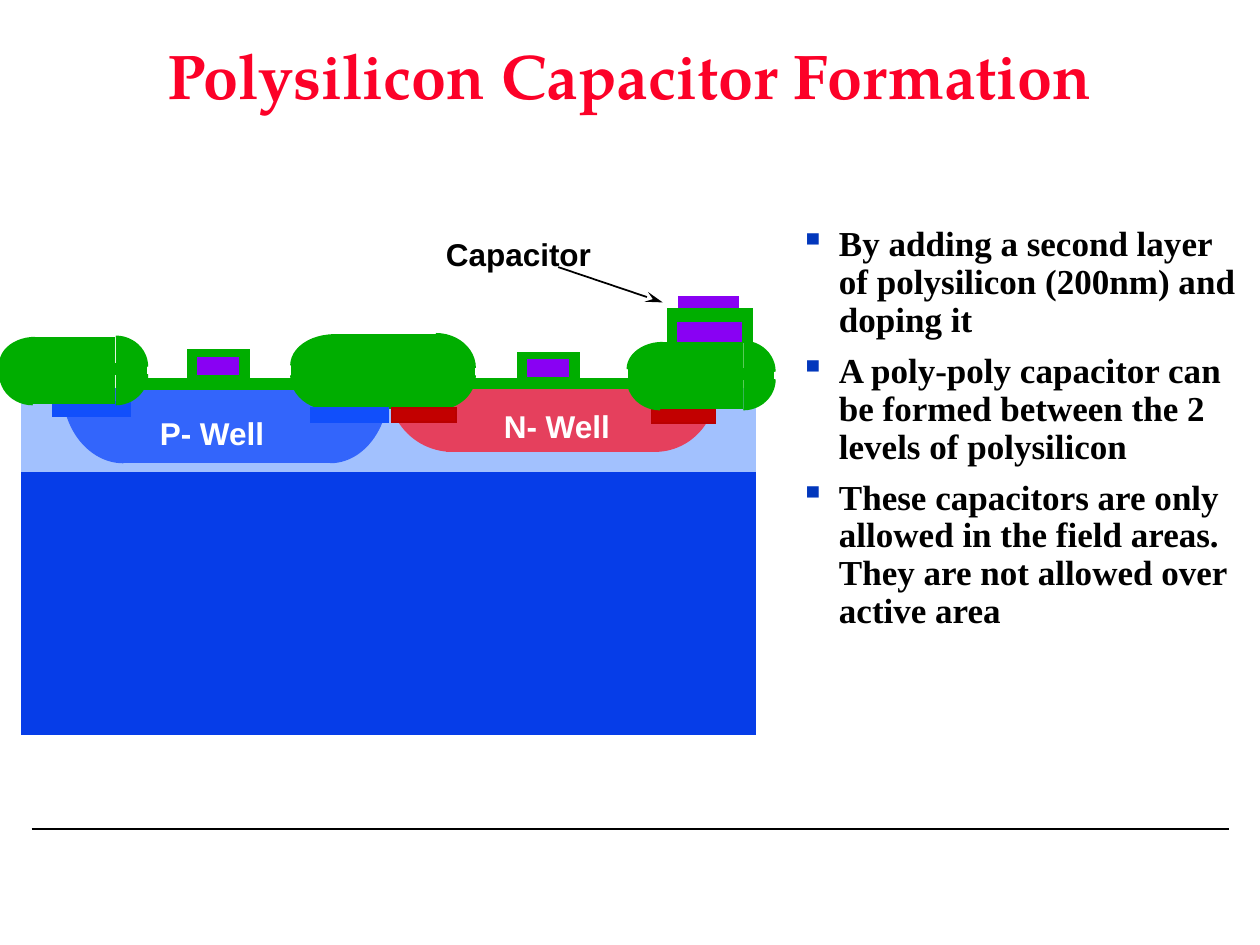
from dataclasses import dataclass

from lxml import etree
from pptx import Presentation
from pptx import util as u
from pptx.dml.color import RGBColor
from pptx.enum import shapes, text
from pptx.oxml.ns import qn

COLORS = {
    "title": "FC0128", "bullet": "0237BC", "black": "000000", "white": "FFFFFF",
    "oxide": "00AE00", "substrate": "063DE8", "epi": "A2C1FE",
    "p_well": "3365FB", "n_well": "E5405D", "poly": "8901F3",
    "p_drain": "114FFB", "n_drain": "C20000", "n_drain_edge": "BA0000",
}
DEGREE = 0.6
QUARTER_STARTS = {"lower right": 0, "lower left": 90, "upper left": 180, "upper right": 270}


@dataclass
class Block:
    left: float
    top: float
    width: float
    height: float
    fill: str
    edge: str = ""


@dataclass
class Corner:
    quarter: str
    x: float
    y: float
    rx: float
    ry: float
    fill: str


@dataclass
class Well:
    left: float
    curve: float
    span: float
    depth: float
    fill: str


@dataclass
class FieldOxide:
    left: float
    top: float
    radius: float
    core: float
    height: float
    corner: float


def rgb(name: str) -> RGBColor:
    return RGBColor.from_string(COLORS[name])


def add_filled(slide, kind, area: tuple, fill: str, edge: str):
    shape = slide.shapes.add_shape(kind, *map(u.Inches, area))
    shape.shadow.inherit = False
    shape.fill.solid()
    shape.fill.fore_color.rgb = rgb(fill)
    shape.line.color.rgb = rgb(edge)
    shape.line.width = u.Pt(1)
    etree.SubElement(shape.line._get_or_add_ln(), qn("a:miter"), lim="800000")
    return shape


def draw_block(slide, block: Block) -> None:
    area = (block.left, block.top, block.width, block.height)
    add_filled(slide, shapes.MSO_SHAPE.RECTANGLE, area, block.fill, block.edge or block.fill)


def draw_corner(slide, corner: Corner) -> None:
    area = (corner.x - corner.rx, corner.y - corner.ry, 2 * corner.rx, 2 * corner.ry)
    arc = add_filled(slide, shapes.MSO_SHAPE.ARC, area, corner.fill, corner.fill)
    start = QUARTER_STARTS[corner.quarter]
    arc.adjustments[0] = start * DEGREE
    arc.adjustments[1] = (start + 90) % 360 * DEGREE


def draw_well(slide, well: Well) -> None:
    inner = well.left + well.curve
    right = inner + well.span
    draw_corner(slide, Corner("lower left", inner, 3.08, well.curve, well.depth, well.fill))
    draw_corner(slide, Corner("lower right", right, 3.08, well.curve - 0.02, well.depth,
                              well.fill))
    draw_block(slide, Block(right - 1.65, 3.09, 1.65, well.depth - 0.01, well.fill))


def draw_field_oxide(slide, field: FieldOxide) -> None:
    inner = field.left + field.radius
    right = inner + field.core + 0.01
    shoulder = field.top + field.corner
    lower = field.top + field.height - field.corner + 0.01
    outer = field.radius - 0.01
    for corner in (
        Corner("lower left", inner, lower, field.radius, field.corner, "oxide"),
        Corner("lower right", right, lower, outer, field.corner, "oxide"),
        Corner("upper right", right, shoulder - 0.01, outer, field.corner, "oxide"),
        Corner("upper left", inner + 0.02, shoulder - 0.03, field.radius + 0.02,
               field.corner - 0.03, "oxide"),
    ):
        draw_corner(slide, corner)
    band = 2 * field.radius + field.core - 0.02
    draw_block(slide, Block(field.left + 0.01, shoulder - 0.03, band, 0.08, "oxide"))
    draw_block(slide, Block(inner, field.top, field.core, field.height, "oxide"))


def draw_gate(slide, left: float, top: float) -> None:
    draw_block(slide, Block(left, top, 0.49, 0.26, "oxide"))
    draw_block(slide, Block(left + 0.08, top + 0.06, 0.32, 0.13, "poly"))


def draw_line(slide, start: tuple, end: tuple, arrow: bool = False) -> None:
    line = slide.shapes.add_connector(
        shapes.MSO_CONNECTOR.STRAIGHT, *map(u.Inches, (*start, *end)))
    line.line.color.rgb = rgb("black")
    line.line.width = u.Pt(1)
    if arrow:
        etree.SubElement(line.line._get_or_add_ln(), qn("a:tailEnd"),
                         type="stealth", w="med", len="lg")
    etree.SubElement(line._element.spPr, qn("a:effectLst"))


def add_bullet(paragraph) -> None:
    properties = paragraph._p.get_or_add_pPr()
    properties.set("marL", str(u.Inches(0.31)))
    properties.set("indent", str(-u.Inches(0.31)))
    tint = etree.SubElement(properties, qn("a:buClr"))
    etree.SubElement(tint, qn("a:srgbClr"), val=COLORS["bullet"])
    etree.SubElement(properties, qn("a:buFont"), typeface="OpenSymbol")
    etree.SubElement(properties, qn("a:buChar"), char="▪")


def write(slide, lines: list[str], area: tuple, *, size: float = 18, font: str = "Arial",
          color: str = "black", align=text.PP_ALIGN.LEFT, anchor=text.MSO_ANCHOR.TOP,
          spacing: float = 1.0, wrap: bool = False, bullets: bool = False) -> None:
    frame = slide.shapes.add_textbox(*map(u.Inches, area)).text_frame
    frame.word_wrap = wrap
    frame.vertical_anchor = anchor
    if not wrap:
        frame.auto_size = text.MSO_AUTO_SIZE.SHAPE_TO_FIT_TEXT
    for index, line in enumerate(lines):
        paragraph = frame.add_paragraph() if index else frame.paragraphs[0]
        paragraph.alignment = align
        paragraph.line_spacing = spacing
        if index:
            paragraph.space_before = u.Pt(7.5)
        if bullets:
            add_bullet(paragraph)
        run = paragraph.add_run()
        run.text = line
        run.font.name = font
        run.font.size = u.Pt(size)
        run.font.bold = True
        run.font.color.rgb = rgb(color)


def main() -> None:
    deck = Presentation()
    deck.slide_width, deck.slide_height = u.Inches(10), u.Inches(7.5)
    slide = deck.slides.add_slide(deck.slide_layouts[6])

    draw_line(slide, (0.25, 6.58), (9.75, 6.58))
    write(slide, ["Polysilicon Capacitor Formation"], (1.08, 0, 7.83, 1.25), size=36,
          font="TeX Gyre Pagella", color="title", align=text.PP_ALIGN.CENTER,
          anchor=text.MSO_ANCHOR.MIDDLE, spacing=0.9, wrap=True)
    write(slide, [
        "By adding a second layer of polysilicon (200nm) and doping it",
        "A poly-poly capacitor can be formed between the 2 levels of polysilicon",
        "These capacitors are only allowed in the field areas. "
        "They are not allowed over active area",
    ], (6.25, 1.75, 3.75, 4.14), size=20, font="Times New Roman", spacing=0.9,
        wrap=True, bullets=True)

    for layer in (
        Block(5.3, 2.45, 0.67, 0.27, "oxide"),
        Block(0.17, 3.09, 5.82, 2.74, "substrate"),
        Block(0.17, 3.09, 5.82, 0.65, "epi"),
    ):
        draw_block(slide, layer)
    draw_well(slide, Well(3.09, 0.5, 1.61, 0.5, "n_well"))
    draw_well(slide, Well(0.5, 0.48, 1.64, 0.59, "p_well"))
    write(slide, ["P- Well"], (1.17, 3.24, 1.04, 0.4), color="white")
    write(slide, ["N- Well"], (3.9, 3.18, 1.05, 0.4), color="white")

    draw_block(slide, Block(1.08, 3.01, 1.33, 0.08, "oxide"))
    draw_block(slide, Block(3.76, 3.01, 1.24, 0.07, "oxide"))
    draw_field_oxide(slide, FieldOxide(2.31, 2.66, 0.32, 0.82, 0.58, 0.27))
    for drain in (
        Block(2.47, 3.24, 0.61, 0.11, "p_drain"),
        Block(0.42, 3.19, 0.61, 0.11, "p_drain"),
        Block(3.11, 3.24, 0.51, 0.11, "n_drain", "n_drain_edge"),
        Block(5.17, 3.25, 0.51, 0.11, "n_drain", "n_drain_edge"),
    ):
        draw_block(slide, drain)
    draw_field_oxide(slide, FieldOxide(0, 2.68, 0.26, 0.65, 0.52, 0.24))
    draw_gate(slide, 1.49, 2.78)
    draw_gate(slide, 4.11, 2.8)

    draw_block(slide, Block(5.38, 2.56, 0.5, 0.15, "poly"))
    draw_block(slide, Block(5.39, 2.36, 0.47, 0.08, "poly"))
    write(slide, ["Capacitor"], (3.44, 1.82, 1.36, 0.4))
    draw_line(slide, (4.43, 2.12), (5.26, 2.4), arrow=True)
    draw_field_oxide(slide, FieldOxide(4.98, 2.72, 0.26, 0.65, 0.52, 0.24))
    deck.save("out.pptx")


if __name__ == "__main__":
    main()
